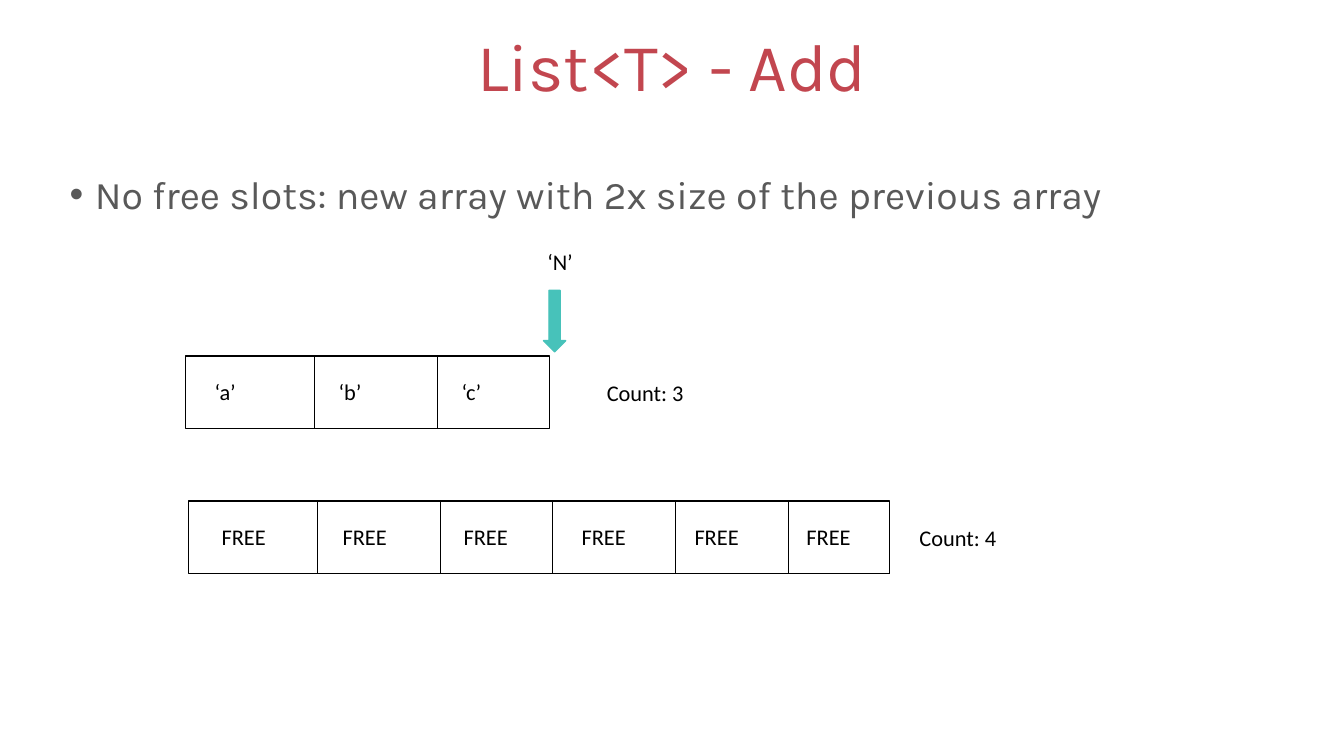
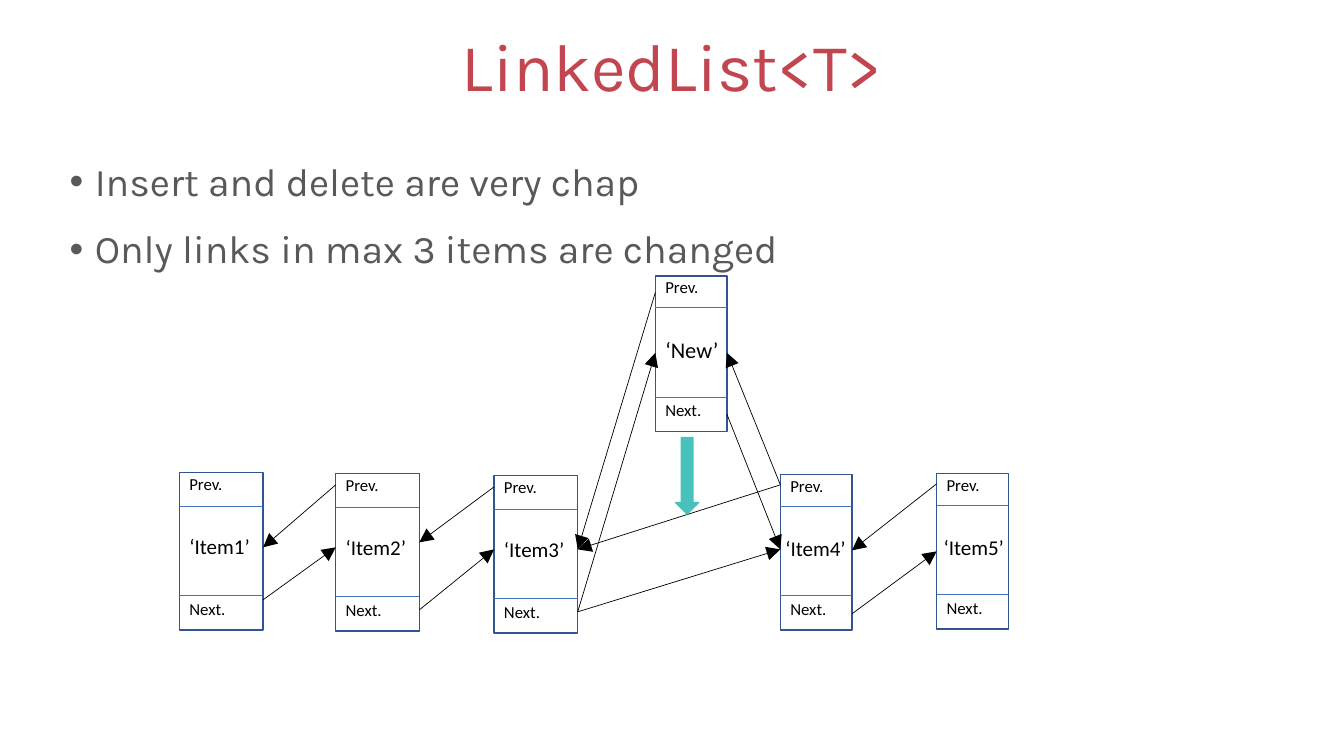
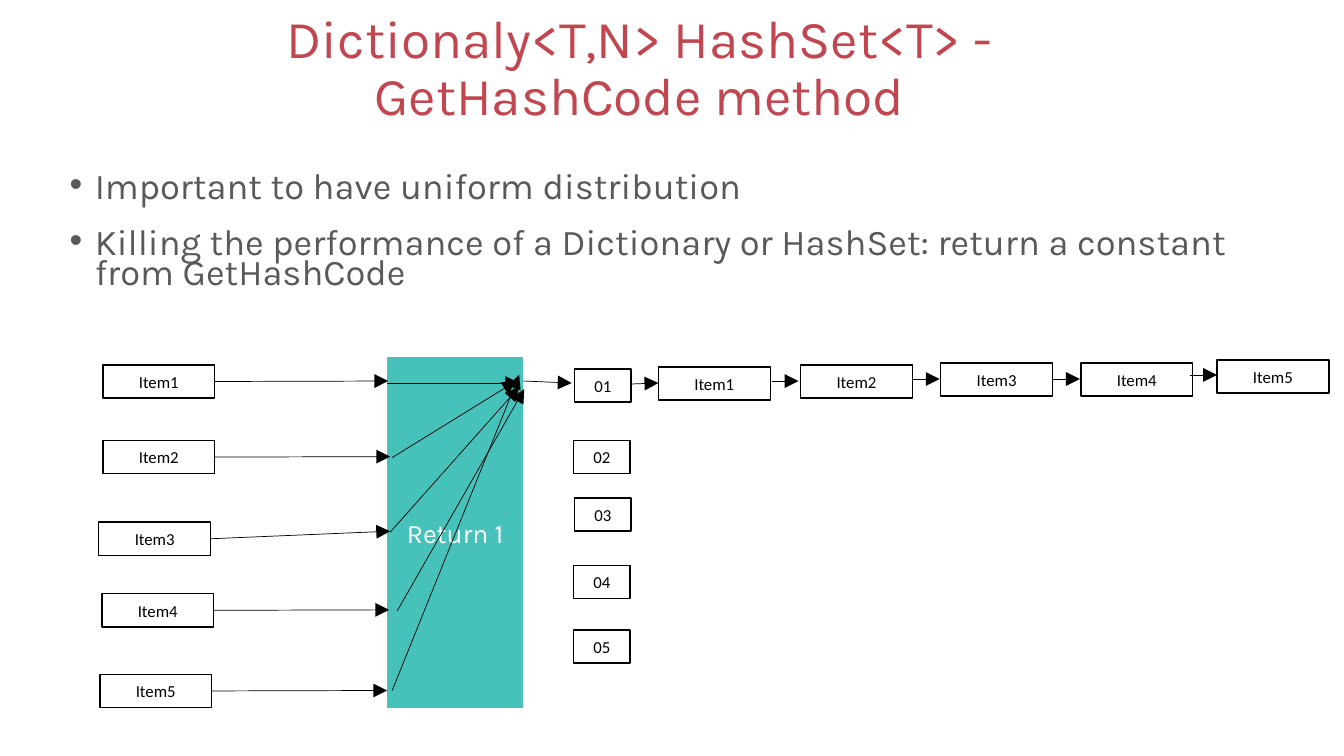
"""Build three slides on how List, LinkedList and hashed collections store items."""
import pptx
import pptx.dml.color
import pptx.enum.shapes
import pptx.enum.text
import pptx.oxml.ns
import pptx.util
import lxml.etree

RED = pptx.dml.color.RGBColor(0xC2, 0x46, 0x4F)
GREY = pptx.dml.color.RGBColor(0x59, 0x59, 0x59)
TEAL = pptx.dml.color.RGBColor(0x47, 0xC2, 0xBA)
NAVY = pptx.dml.color.RGBColor(0x32, 0x54, 0x91)
BLUE = pptx.dml.color.RGBColor(0x44, 0x72, 0xC4)
BLACK = pptx.dml.color.RGBColor(0, 0, 0)
WHITE = pptx.dml.color.RGBColor(255, 255, 255)
HEADING_FONT, LABEL_FONT = "Karla", "Calibri"
SLIDE_WIDTH, SLIDE_HEIGHT = 13.33, 7.5

SHAPES = pptx.enum.shapes.MSO_SHAPE
MIDDLE = pptx.enum.text.MSO_ANCHOR.MIDDLE
CENTER = pptx.enum.text.PP_ALIGN.CENTER

ADD = dict(
    title="List<T> - Add",
    bullets=["No free slots: new array with 2x size of the previous array"],
    body=(0.59, 1.69, 12.08, 1.19))
COLUMN_WIDTHS = [1.28, 1.22, 1.11, 1.22, 1.12, 1.0]
ARRAY_HEIGHT = 0.72
ARRAYS = [
    dict(left=1.84, top=3.53, count="Count: 3", count_left=5.92,
         slots=[("‘a’", 2.03), ("‘b’", 3.26), ("‘c’", 4.48)]),
    dict(left=1.87, top=4.97, count="Count: 4", count_left=9.02,
         slots=[("FREE", left) for left in (2.1, 3.3, 4.5, 5.67, 6.79, 7.9)]),
]

LINKED = dict(
    title="LinkedList<T>",
    bullets=["Insert and delete are very chap", "Only links in max 3 items are changed"],
    body=(0.59, 1.56, 12.08, 5.58))
WIDE, NARROW = (0.83, 1.56), (0.71, 1.54)
ITEMS = [
    ("‘Item1’", 1.78, 4.69, WIDE, 0),
    ("‘Item2’", 3.33, 4.70, WIDE, 0),
    ("‘Item3’", 4.90, 4.72, WIDE, 0),
    ("‘Item4’", 7.74, 4.71, NARROW, -0.05),
    ("‘Item5’", 9.29, 4.70, NARROW, -0.03),
]
NEW_ITEM = ("‘New’", 6.5, 2.74, NARROW, 0)
LINKS = [
    dict(next_rows=(5.95, 5.43), prev_rows=(4.81, 5.43)),
    dict(next_rows=(6.05, 5.45), prev_rows=(4.83, 5.38)),
    dict(next_rows=(6.07, 5.45), prev_rows=(4.81, 5.45)),
    dict(next_rows=(6.09, 5.47), prev_rows=(4.80, 5.46)),
]
NEW_LINKS = [
    dict(next_rows=(6.07, 3.5), prev_rows=(2.9, 5.45)),
    dict(next_rows=(4.11, 5.45), prev_rows=(4.81, 3.5)),
]

HASHED = dict(
    title="Dictionaly<T,N> HashSet<T> - GetHashCode method",
    bullets=["Important to have uniform distribution",
             "Killing the performance of a Dictionary or HashSet: "
             "return a constant from GetHashCode"],
    body=(0.59, 1.69, 12.08, 1.67),
    title_box=(1.76, -0.03, 9.17, 1.45), title_size=38, body_size=25.9, spacing=0.7)
ITEM_WIDTH, BUCKET_WIDTH, BOX_HEIGHT = 1.11, 0.56, 0.33
HASH_BLOCK = (3.85, 3.55, 1.33, 3.47)
KEYS = [
    (1.02, 3.62, (3.85, 3.78), (3.84, 3.8), (5.15, 3.8)),
    (1.02, 4.37, (3.87, 4.53), (3.89, 4.54), (5.12, 3.78)),
    (0.98, 5.18, (3.87, 5.27), (3.87, 5.28), (5.15, 3.84)),
    (1.01, 5.89, (3.86, 6.05), (3.94, 6.06), (5.2, 3.86)),
    (0.99, 6.69, (3.84, 6.85), (3.89, 6.85), (5.15, 3.72)),
]
BUCKETS = [(5.7, 3.66), (5.69, 4.37), (5.7, 4.94), (5.69, 5.61), (5.69, 6.25)]
CHAIN = [
    (6.53, 3.64, (6.25, 3.81), (6.53, 3.8)),
    (7.94, 3.62, (7.66, 3.78), (7.92, 3.78)),
    (9.33, 3.60, (9.05, 3.76), (9.32, 3.76)),
    (10.72, 3.60, (10.44, 3.76), (10.71, 3.76)),
    (12.07, 3.57, (11.8, 3.72), (12.07, 3.72)),
]


def inches(lengths):
    return [pptx.util.Inches(length) for length in lengths]


def write(frame, lines, *, size, font=LABEL_FONT, color=BLACK, align=None,
          anchor=None, spacing=None, before=None, hanging=None):
    frame.word_wrap = True
    frame.auto_size = pptx.enum.text.MSO_AUTO_SIZE.NONE
    if anchor is not None:
        frame.vertical_anchor = anchor
    for index, line in enumerate(lines):
        paragraph = frame.add_paragraph() if index else frame.paragraphs[0]
        paragraph.alignment = align
        paragraph.line_spacing = spacing
        if before is not None:
            paragraph.space_before = pptx.util.Pt(before)
        if hanging:
            indent = pptx.util.Inches(hanging)
            properties = paragraph._p.get_or_add_pPr()
            properties.set("marL", str(indent))
            properties.set("indent", str(-indent))
        run = paragraph.add_run()
        run.text = line
        run.font.size = pptx.util.Pt(size)
        run.font.name = font
        run.font.color.rgb = color


def place(placeholder, box):
    (placeholder.left, placeholder.top,
     placeholder.width, placeholder.height) = inches(box)


def add_slide(deck, title, bullets, body, title_box=(0, -0.03, SLIDE_WIDTH, 1.45),
              title_size=48, body_size=28, spacing=0.9):
    slide = deck.slides.add_slide(deck.slide_layouts[1])
    heading, points = slide.placeholders
    place(heading, title_box)
    place(points, body)
    write(heading.text_frame, [title], size=title_size, font=HEADING_FONT, color=RED,
          align=CENTER, anchor=MIDDLE, spacing=0.9)
    write(points.text_frame, bullets, size=body_size, font=HEADING_FONT, color=GREY,
          spacing=spacing, before=18, hanging=0.25)
    return slide


def add_label(slide, text, left, top, width, height, size=16):
    label = slide.shapes.add_textbox(*inches((left, top, width, height)))
    write(label.text_frame, [text], size=size)


def add_block(slide, box, kind=SHAPES.RECTANGLE, fill=None, line=BLACK, text=None, **style):
    block = slide.shapes.add_shape(kind, *inches(box))
    block.shadow.inherit = False
    if fill is None:
        block.fill.background()
    else:
        block.fill.solid()
        block.fill.fore_color.rgb = fill
    block.line.color.rgb = line
    block.line.width = pptx.util.Pt(1)
    if text:
        write(block.text_frame, [text], align=CENTER, anchor=MIDDLE, **style)


def add_line(slide, start, end, color=BLACK, arrow=False):
    line = slide.shapes.add_connector(
        pptx.enum.shapes.MSO_CONNECTOR.STRAIGHT, *inches(start + end))
    line.line.color.rgb = color
    line.line.width = pptx.util.Pt(0.5)
    qn = pptx.oxml.ns.qn
    if arrow:
        lxml.etree.SubElement(line.line._get_or_add_ln(), qn("a:tailEnd"),
                              type="triangle", w="lg", len="lg")
    lxml.etree.SubElement(line._element.spPr, qn("a:effectLst"))


def add_down_arrow(slide, box):
    add_block(slide, box, kind=SHAPES.DOWN_ARROW, fill=TEAL, line=TEAL)


def add_array(slide, left, top, count, count_left, slots):
    widths = COLUMN_WIDTHS[:len(slots)]
    add_block(slide, (left, top, sum(widths), ARRAY_HEIGHT))
    divider = left
    for width, (slot, slot_left) in zip(widths, slots):
        divider += width
        add_line(slide, (divider, top), (divider, top + ARRAY_HEIGHT))
        add_label(slide, slot, slot_left, top + 0.17, 0.94, 0.37)
    add_label(slide, count, count_left, top + 0.18, 1.22, 0.37)


def add_node(slide, name, left, top, size, name_shift, name_size=15):
    width, height = size
    add_block(slide, (left, top, width, height), line=NAVY)
    for row in (top + height - 1.23, top + height - 0.34):
        add_line(slide, (left, row), (left + width, row), color=BLUE)
    add_label(slide, name, left + name_shift, top + 0.55, 0.92, 0.35, size=name_size)
    add_label(slide, "Prev.", left, top - 0.04, 0.84, 0.3, size=12)
    add_label(slide, "Next.", left, top + height - 0.36, 0.84, 0.3, size=12)


def link_nodes(slide, items, links):
    for link, item, follower in zip(links, items, items[1:]):
        right, left = item[1] + item[3][0], follower[1]
        next_start, next_end = link["next_rows"]
        prev_start, prev_end = link["prev_rows"]
        add_line(slide, (right, next_start), (left, next_end), arrow=True)
        add_line(slide, (left, prev_start), (right, prev_end), arrow=True)


def build_add(deck):
    slide = add_slide(deck, **ADD)
    for array in ARRAYS:
        add_array(slide, **array)
    add_label(slide, "‘N’", 5.33, 2.41, 0.94, 0.37)
    add_down_arrow(slide, (5.39, 2.88, 0.22, 0.61))


def build_linked(deck):
    slide = add_slide(deck, **LINKED)
    for item in ITEMS:
        add_node(slide, *item)
    link_nodes(slide, ITEMS, LINKS)
    add_node(slide, *NEW_ITEM, name_size=16)
    add_down_arrow(slide, (6.7, 4.34, 0.23, 0.76))
    link_nodes(slide, [ITEMS[2], NEW_ITEM, ITEMS[3]], NEW_LINKS)


def build_hashed(deck):
    slide = add_slide(deck, **HASHED)
    add_block(slide, HASH_BLOCK, fill=TEAL, line=TEAL, text="Return 1",
              size=19, font=HEADING_FONT, color=WHITE)
    for number, (left, top) in enumerate(BUCKETS, 1):
        add_block(slide, (left, top, BUCKET_WIDTH, BOX_HEIGHT), text=f"{number:02}", size=12)
    for number, (left, top, entry, hash_start, hash_end) in enumerate(KEYS, 1):
        add_block(slide, (left, top, ITEM_WIDTH, BOX_HEIGHT), text=f"Item{number}", size=12)
        add_line(slide, (left + ITEM_WIDTH, top + BOX_HEIGHT / 2), entry, arrow=True)
        add_line(slide, hash_start, hash_end, arrow=True)
    add_line(slide, (5.19, 3.78), (5.67, 3.8), arrow=True)
    for number, (left, top, start, end) in enumerate(CHAIN, 1):
        add_block(slide, (left, top, ITEM_WIDTH, BOX_HEIGHT), text=f"Item{number}", size=12)
        add_line(slide, start, end, arrow=True)


deck = pptx.Presentation()
deck.slide_width, deck.slide_height = inches((SLIDE_WIDTH, SLIDE_HEIGHT))
for build in (build_add, build_linked, build_hashed):
    build(deck)
deck.save("out.pptx")
